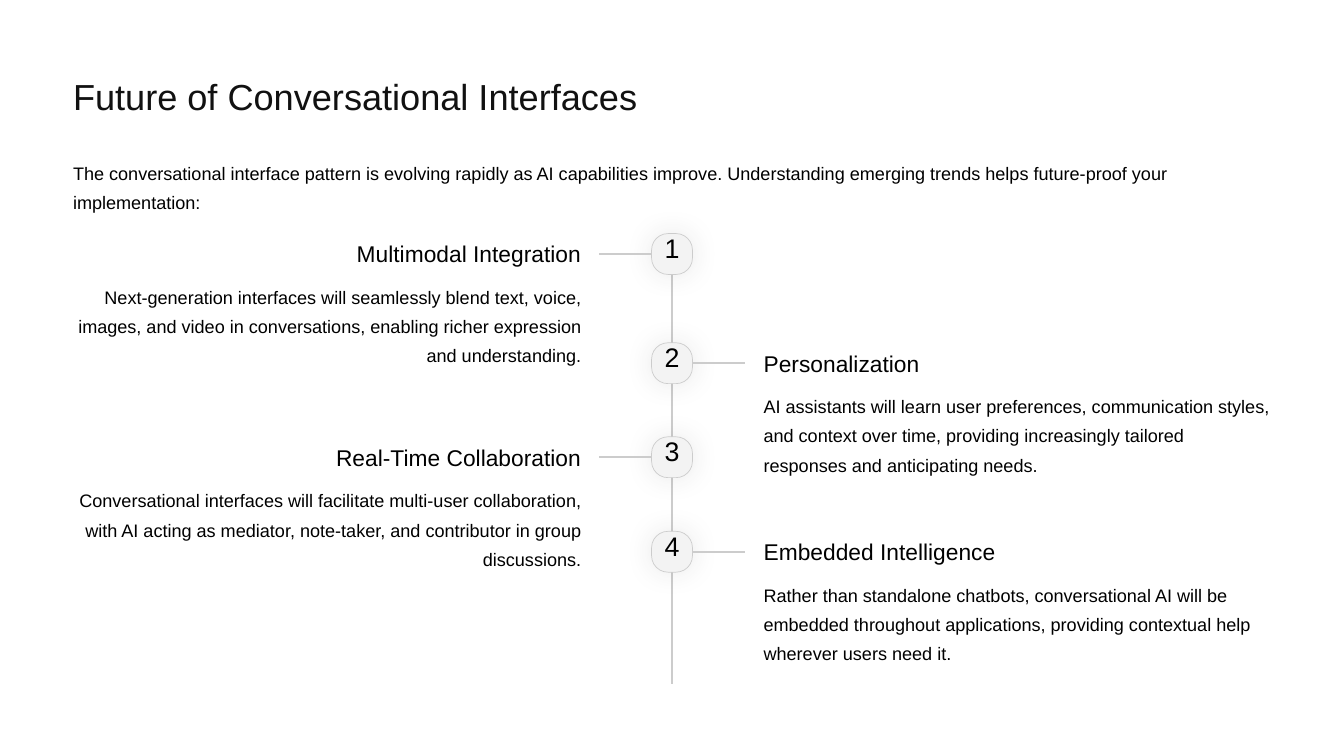
from lxml import etree
from pptx import Presentation
from pptx.dml.color import RGBColor
from pptx.enum.shapes import MSO_CONNECTOR as Connector, MSO_SHAPE as Shape
from pptx.enum.text import MSO_ANCHOR as Anchor, MSO_AUTO_SIZE as AutoSize, PP_ALIGN as Align
from pptx.oxml import parse_xml
from pptx.oxml.ns import nsdecls, qn
from pptx.util import Pt

WHITE = RGBColor(0xFF, 0xFF, 0xFF)
BLACK = RGBColor(0x00, 0x00, 0x00)
TITLE_COLOR = RGBColor(0x11, 0x11, 0x11)
LINE_GRAY = RGBColor(0xCC, 0xCC, 0xCC)
BADGE_GRAY = RGBColor(0xF3, 0xF3, 0xF3)

CENTER = 576
BADGE = 35
SPINE_TOP, SPINE_BOTTOM = 200.2, 586
LEFT_EDGE = 62.6
RIGHT_COLUMN = 654.5
COLUMN_WIDTH = 435.6
BRANCH = 45

SHADOW = (
    f'<a:outerShdw {nsdecls("a")} blurRad="{Pt(23.4)}" dist="0" dir="0" algn="ctr" rotWithShape="0">'
    '<a:srgbClr val="333333"><a:alpha val="10000"/></a:srgbClr></a:outerShdw>'
)

TRENDS = [
    (200.2, "Multimodal Integration",
     "Next-generation interfaces will seamlessly blend text, voice, images, and video in "
     "conversations, enabling richer expression and understanding."),
    (293.8, "Personalization",
     "AI assistants will learn user preferences, communication styles, and context over time, "
     "providing increasingly tailored responses and anticipating needs."),
    (374.4, "Real-Time Collaboration",
     "Conversational interfaces will facilitate multi-user collaboration, with AI acting as "
     "mediator, note-taker, and contributor in group discussions."),
    (455.4, "Embedded Intelligence",
     "Rather than standalone chatbots, conversational AI will be embedded throughout "
     "applications, providing contextual help wherever users need it."),
]


def write(shape, text, size, line_spacing, color=BLACK, align=Align.LEFT):
    frame = shape.text_frame
    frame.auto_size = AutoSize.NONE
    frame.word_wrap = True
    frame.vertical_anchor = Anchor.TOP
    frame.margin_left = frame.margin_top = frame.margin_right = frame.margin_bottom = 0
    paragraph = frame.paragraphs[0]
    paragraph.text = text
    paragraph.alignment = align
    paragraph.line_spacing = Pt(line_spacing)
    paragraph.space_before = Pt(0)
    paragraph.font.name = "Arial"
    paragraph.font.size = Pt(size)
    paragraph.font.color.rgb = color


def draw_line(x1, y1, x2, y2):
    line = slide.shapes.add_connector(Connector.STRAIGHT, Pt(x1), Pt(y1), Pt(x2), Pt(y2))
    line.line.color.rgb = LINE_GRAY
    line.line.width = Pt(2)
    etree.SubElement(line._element.spPr, qn("a:effectLst"))
    return line


presentation = Presentation()
presentation.slide_width, presentation.slide_height = Pt(1152), Pt(648)
slide = presentation.slides.add_slide(presentation.slide_layouts[5])
slide.background.fill.solid()
slide.background.fill.fore_color.rgb = WHITE

title = slide.shapes.title
title.left, title.top, title.width, title.height = Pt(LEFT_EDGE), Pt(62), Pt(532), Pt(39)
write(title, "Future of Conversational Interfaces", 31, 39, color=TITLE_COLOR)

intro = slide.shapes.add_textbox(Pt(LEFT_EDGE), Pt(132.5), Pt(1026.8), Pt(50))
write(intro, "The conversational interface pattern is evolving rapidly as AI capabilities improve. "
      "Understanding emerging trends helps future-proof your implementation:", 15.5, 25)

draw_line(CENTER, SPINE_TOP, CENTER, SPINE_BOTTOM)

for number, (top, heading, description) in enumerate(TRENDS, 1):
    on_left = number % 2 == 1
    side = -1 if on_left else 1
    column = LEFT_EDGE if on_left else RIGHT_COLUMN
    align = Align.RIGHT if on_left else Align.LEFT

    badge = slide.shapes.add_shape(
        Shape.ROUNDED_RECTANGLE, Pt(CENTER - BADGE / 2), Pt(top), Pt(BADGE), Pt(BADGE))
    badge.adjustments[0] = 0.4
    badge.fill.solid()
    badge.fill.fore_color.rgb = BADGE_GRAY
    badge.line.color.rgb = LINE_GRAY
    badge.line.width = Pt(0.6)
    badge.shadow.inherit = False
    badge._element.spPr.find(qn("a:effectLst")).append(parse_xml(SHADOW))
    write(badge, str(number), 23, 22, align=Align.CENTER)

    middle = top + BADGE / 2
    badge_side = CENTER + side * BADGE / 2
    branch = draw_line(badge_side, middle, badge_side + side * BRANCH, middle)
    branch.begin_connect(badge, 1 if on_left else 3)

    heading_box = slide.shapes.add_textbox(Pt(column), Pt(top + 5), Pt(COLUMN_WIDTH), Pt(24.5))
    write(heading_box, heading, 19.5, 24, align=align)
    description_box = slide.shapes.add_textbox(Pt(column), Pt(top + 39), Pt(COLUMN_WIDTH), Pt(75))
    write(description_box, description, 15.5, 25, align=align)

presentation.save("out.pptx")
